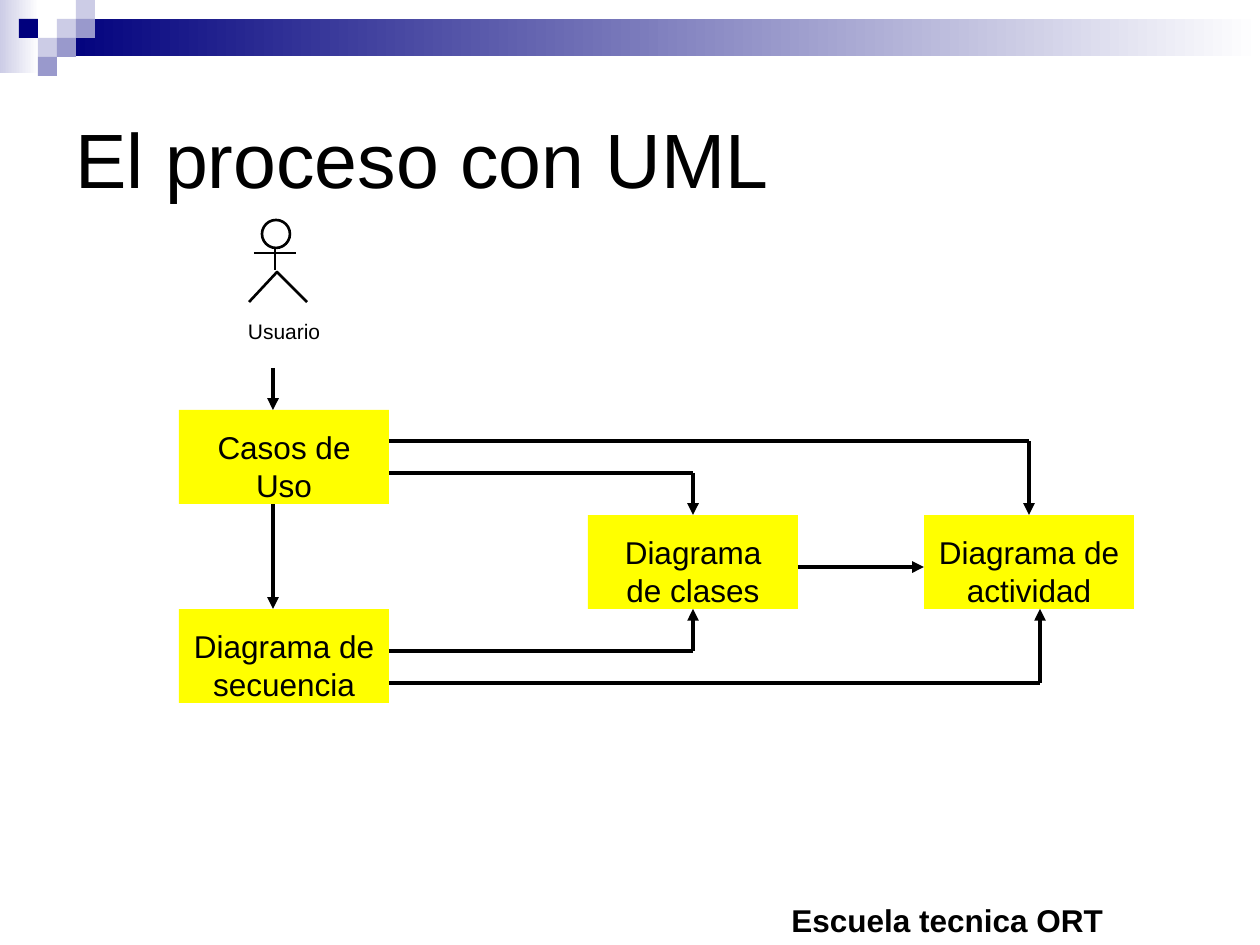
from dataclasses import dataclass
from itertools import pairwise

from lxml import etree
from pptx import Presentation
from pptx import util as u
from pptx.dml.color import RGBColor
from pptx.enum import shapes, text
from pptx.oxml.ns import qn

EMU_PER_PX = 914400 / 126
TOP, BOTTOM = 0, 2


@dataclass(frozen=True)
class Theme:
    font: str = "Arial"
    ink: str = "000000"
    paper: str = "FFFFFF"
    box: str = "FFFF00"
    navy: str = "00007D"
    lilac: str = "9999CC"
    pale: str = "CCCCE6"
    title_pt: int = 44
    body_pt: int = 18
    small_pt: int = 12
    figure_line: float = 1.5
    arrow_line: float = 2.25


@dataclass(frozen=True)
class Area:
    left: int
    top: int
    width: int
    height: int

    def emu(self) -> tuple:
        return tuple(px(n) for n in (self.left, self.top, self.width, self.height))


@dataclass(frozen=True)
class Square:
    column: int
    row: int
    color: str


@dataclass(frozen=True)
class Step:
    label: str
    left: int
    top: int
    label_width: int


@dataclass(frozen=True)
class Route:
    """Right-angled path; joined to a step if it ends mid-side."""
    points: tuple
    target: str = ""
    site: int = TOP


THEME = Theme()
GRID = 19
STEP_WIDTH, STEP_HEIGHT = 210, 94

SQUARES = (
    Square(3, 1, THEME.pale),
    Square(4, 0, THEME.pale),
    Square(4, 1, THEME.lilac),
    Square(2, 2, THEME.pale),
    Square(1, 1, THEME.navy),
    Square(3, 2, THEME.lilac),
    Square(2, 3, THEME.lilac),
)

USE_CASES = Step("Casos de Uso", 179, 410, 168)
SEQUENCE = Step("Diagrama de secuencia", 179, 609, 230)
CLASSES = Step("Diagrama de clases", 588, 515, 168)
ACTIVITY = Step("Diagrama de actividad", 924, 515, 210)
STEPS = (USE_CASES, SEQUENCE, CLASSES, ACTIVITY)

ROUTES = (
    Route(((273, 368), (273, 410))),
    Route(((273, 504), (273, 609))),
    Route(((389, 473), (693, 473), (693, 515)), CLASSES.label, TOP),
    Route(((389, 651), (693, 651), (693, 609)), CLASSES.label, BOTTOM),
    Route(((389, 441), (1029, 441), (1029, 515)), ACTIVITY.label, TOP),
    Route(((389, 683), (1040, 683), (1040, 609))),
    Route(((798, 567), (924, 567))),
)


def px(n: int) -> u.Emu:
    return u.Emu(round(n * EMU_PER_PX))


def rgb(color: str) -> RGBColor:
    return RGBColor.from_string(color)


def add_block(slide, area: Area, color: str, fade_to: str = ""):
    """Borderless rectangle, solid or fading from left to right."""
    block = slide.shapes.add_shape(shapes.MSO_SHAPE.RECTANGLE, *area.emu())
    block.shadow.inherit = False
    block.line.fill.background()
    if fade_to:
        block.fill.gradient()
        block.fill.gradient_angle = 0
        for stop, stop_color in zip(block.fill.gradient_stops, (color, fade_to)):
            stop.color.rgb = rgb(stop_color)
    else:
        block.fill.solid()
        block.fill.fore_color.rgb = rgb(color)
    return block


def add_text(slide, area: Area, words: str, size: int, *, bold: bool = False,
             align=text.PP_ALIGN.LEFT, anchor=text.MSO_ANCHOR.TOP, tight: bool = False) -> None:
    """Text box; a tight one has no margins and does not wrap."""
    frame = slide.shapes.add_textbox(*area.emu()).text_frame
    frame.word_wrap = not tight
    frame.vertical_anchor = anchor
    if tight:
        frame.margin_left = frame.margin_right = frame.margin_top = frame.margin_bottom = 0
    frame.text = words
    paragraph = frame.paragraphs[0]
    paragraph.alignment = align
    font = paragraph.runs[0].font
    font.name, font.size, font.bold = THEME.font, u.Pt(size), bold
    font.color.rgb = rgb(THEME.ink)


def outline(shape, width: float) -> None:
    shape.line.color.rgb = rgb(THEME.ink)
    shape.line.width = u.Pt(width)


def add_line(slide, start: tuple, end: tuple, width: float, arrow: bool = False):
    line = slide.shapes.add_connector(
        shapes.MSO_CONNECTOR.STRAIGHT, *(px(n) for n in (*start, *end)))
    outline(line, width)
    if arrow:
        etree.SubElement(line.line._get_or_add_ln(), qn("a:tailEnd"), type="triangle")
    etree.SubElement(line._element.spPr, qn("a:effectLst"))
    return line


def add_route(slide, route: Route, boxes: dict) -> None:
    for start, end in pairwise(route.points):
        last = end == route.points[-1]
        line = add_line(slide, start, end, THEME.arrow_line, arrow=last)
        if last and route.target:
            line.end_connect(boxes[route.target], route.site)


def add_step(slide, step: Step):
    box = add_block(slide, Area(step.left, step.top, STEP_WIDTH, STEP_HEIGHT), THEME.box)
    label_left = step.left + (STEP_WIDTH - step.label_width) // 2
    add_text(slide, Area(label_left, step.top + 12, step.label_width, 88),
             step.label, THEME.body_pt, align=text.PP_ALIGN.CENTER)
    return box


def add_user(slide) -> None:
    head = slide.shapes.add_shape(shapes.MSO_SHAPE.OVAL, *Area(262, 220, 28, 28).emu())
    legs_path = slide.shapes.build_freeform(249, 302, scale=EMU_PER_PX)
    legs_path.add_line_segments([(277, 272), (307, 302)], close=False)
    for part in (head, legs_path.convert_to_shape()):
        part.shadow.inherit = False
        part.fill.background()
        outline(part, THEME.figure_line)
    add_line(slide, (275, 247), (275, 270), THEME.figure_line)
    add_line(slide, (254, 253), (296, 253), THEME.figure_line)
    add_text(slide, Area(248, 319, 73, 25), "Usuario", THEME.small_pt, tight=True)


def add_banner(slide) -> None:
    add_block(slide, Area(0, 0, 39, 73), THEME.pale, THEME.paper)
    add_block(slide, Area(57, 19, 1203, 37), THEME.navy, THEME.paper)
    for square in SQUARES:
        area = Area(square.column * GRID, square.row * GRID, GRID, GRID)
        add_block(slide, area, square.color)


def main() -> None:
    deck = Presentation()
    deck.slide_width, deck.slide_height = px(1260), px(945)
    slide = deck.slides.add_slide(deck.slide_layouts[6])
    add_banner(slide)
    add_text(slide, Area(779, 895, 435, 50), "Escuela tecnica ORT", THEME.body_pt,
             bold=True, anchor=text.MSO_ANCHOR.MIDDLE)
    add_text(slide, Area(63, 63, 1134, 189), "El proceso con UML", THEME.title_pt,
             anchor=text.MSO_ANCHOR.MIDDLE)
    add_user(slide)
    boxes = {step.label: add_step(slide, step) for step in STEPS}
    for route in ROUTES:
        add_route(slide, route, boxes)
    deck.save("out.pptx")


if __name__ == "__main__":
    main()
